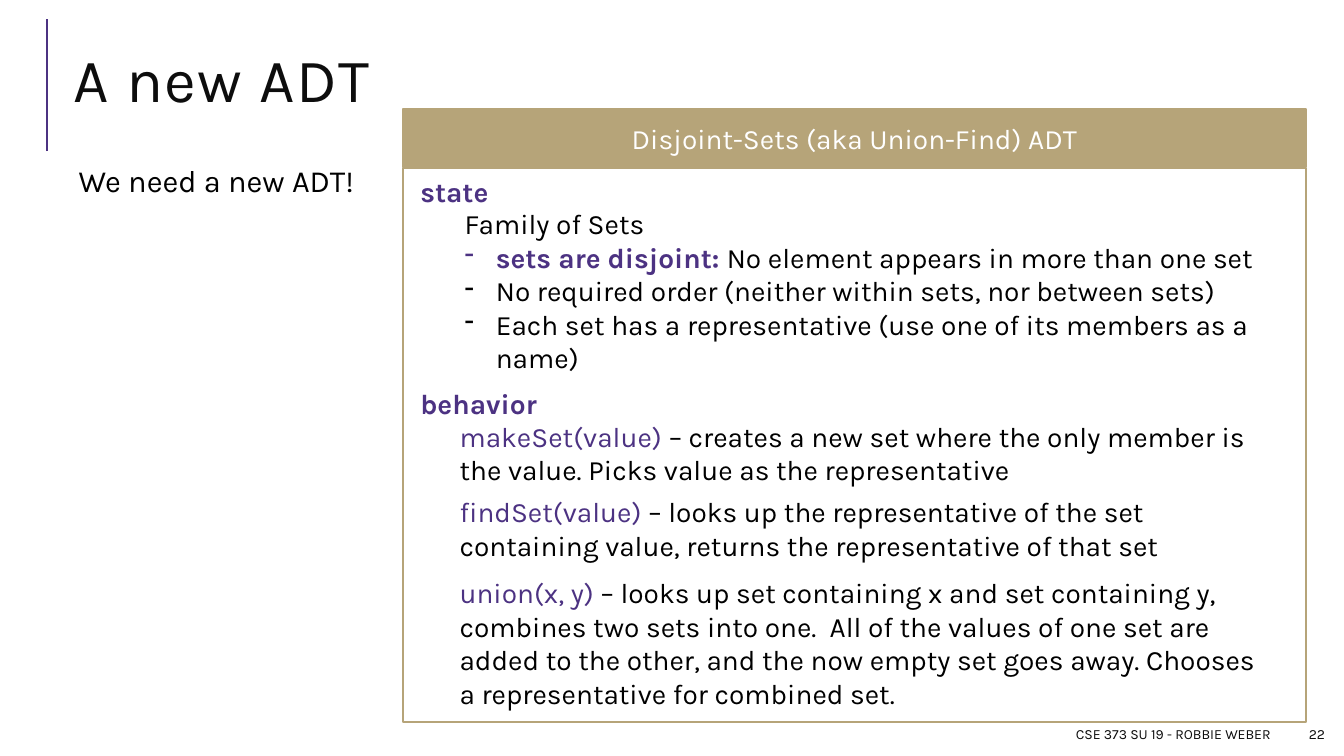
from lxml.etree import SubElement
from pptx import Presentation
from pptx.dml.color import RGBColor
from pptx.enum.shapes import MSO_CONNECTOR, MSO_SHAPE
from pptx.enum.text import MSO_ANCHOR, MSO_AUTO_SIZE, PP_ALIGN
from pptx.oxml.ns import qn
from pptx.util import Inches, Pt

PURPLE = RGBColor(0x4C, 0x32, 0x82)
GOLD = RGBColor(0xB6, 0xA4, 0x79)
INK = RGBColor(0x0D, 0x0D, 0x0D)
BLACK = RGBColor(0, 0, 0)
WHITE = RGBColor(0xFF, 0xFF, 0xFF)


def add_run(p, text, size, color, bold=False):
    r = p.add_run()
    r.text = text
    r.font.name = "Karla"
    r.font.size = Pt(size)
    r.font.bold = bold
    r.font.color.rgb = color
    return r


def add_text(left, top, width, height):
    tf = slide.shapes.add_textbox(
        Inches(left), Inches(top), Inches(width), Inches(height)).text_frame
    tf.word_wrap = True
    return tf


prs = Presentation()
prs.slide_width = Inches(13.33)
prs.slide_height = Inches(7.5)
slide = prs.slides.add_slide(prs.slide_layouts[1])
title, body = slide.placeholders

# Rule beside the title
rule = slide.shapes.add_connector(
    MSO_CONNECTOR.STRAIGHT, Inches(0.47), Inches(1.5), Inches(0.47), Inches(0.19))
rule.line.color.rgb = PURPLE
rule.line.width = Pt(1.5)
SubElement(rule._element.spPr, qn("a:effectLst"))

# Title and lead sentence
for sp, top, height in ((title, 0.29, 1.11), (body, 1.6, 0.51)):
    sp.left, sp.top = Inches(0.63), Inches(top)
    sp.width, sp.height = Inches(12.23), Inches(height)
    sp.text_frame.auto_size = MSO_AUTO_SIZE.NONE
title.text_frame.vertical_anchor = MSO_ANCHOR.MIDDLE
p = title.text_frame.paragraphs[0]
p.alignment = PP_ALIGN.LEFT
p.line_spacing = 0.8
r = add_run(p, "A new ADT", 44, INK)
r.font._element.set("spc", "100")

tf = body.text_frame
tf.margin_left = tf.margin_right = tf.margin_top = tf.margin_bottom = Inches(0.05)
tf.vertical_anchor = MSO_ANCHOR.TOP
p = tf.paragraphs[0]
pPr = p._p.get_or_add_pPr()
pPr.set("marL", str(Inches(0.1)))
pPr.set("indent", "0")
SubElement(pPr, qn("a:buNone"))
p.line_spacing = 0.9
p.space_before = Pt(0)
p.space_after = Pt(2)
add_run(p, "We need a new ADT!", 22, BLACK)

# Footer and slide number
for text, left, width in (("CSE 373 SU 19 - ROBBIE WEBER", 6.25, 6.45),
                          ("22", 12.78, 0.46)):
    tf = add_text(left, 7.13, width, 0.3)
    tf.vertical_anchor = MSO_ANCHOR.MIDDLE
    p = tf.paragraphs[0]
    p.alignment = PP_ALIGN.RIGHT
    add_run(p, text, 10, INK)

# ADT card: frame and header band
for top, height in ((1.67, 5.49), (1.08, 0.58)):
    sp = slide.shapes.add_shape(
        MSO_SHAPE.RECTANGLE, Inches(4), Inches(top), Inches(8.95), Inches(height))
    sp.shadow.inherit = False
    sp.fill.background()
    sp.line.color.rgb = GOLD
    sp.line.width = Pt(1.25)
header = sp
header.fill.solid()
header.fill.fore_color.rgb = GOLD
header.text_frame.vertical_anchor = MSO_ANCHOR.MIDDLE
p = header.text_frame.paragraphs[0]
p.alignment = PP_ALIGN.CENTER
add_run(p, "Disjoint-Sets (aka Union-Find) ADT", 20, WHITE)

# Section headings
for text, top in (("state", 1.68), ("behavior", 3.79)):
    tf = add_text(4.07, top, 7.13, 0.44)
    add_run(tf.paragraphs[0], text, 20, PURPLE, True)

# State: family of sets and its properties
tf = add_text(4.51, 2, 8.14, 2.46)
add_run(tf.paragraphs[0], "Family of Sets", 20, BLACK)
for term, text in (
        ("sets are disjoint: ", "No element appears in more than one set"),
        ("", "No required order (neither within sets, nor between sets)"),
        ("", "Each set has a representative (use one of its members as a name)")):
    p = tf.add_paragraph()
    pPr = p._p.get_or_add_pPr()
    pPr.set("marL", str(Inches(0.31)))
    pPr.set("indent", str(-Inches(0.31)))
    SubElement(pPr, qn("a:buChar")).set("char", "-")
    if term:
        add_run(p, term, 20, PURPLE, True)
    add_run(p, text, 20, BLACK)

# Behavior: one box per operation
for call, text, top, width, height in (
        ("makeSet(value) ",
         "– creates a new set where the only member is the value. "
         "Picks value as the representative", 4.11, 8.03, 1.11),
        ("findSet(value) ",
         "– looks up the representative of the set containing value, "
         "returns the representative of that set", 4.86, 7.83, 1.11),
        ("union(x, y) ",
         "– looks up set containing x and set containing y, combines two sets "
         "into one.  All of the values of one set are added to the other, and "
         "the now empty set goes away. Chooses a representative for combined set.",
         5.66, 8.14, 1.78)):
    p = add_text(4.46, top, width, height).paragraphs[0]
    add_run(p, call, 20, PURPLE)
    add_run(p, text, 20, BLACK)

prs.save("out.pptx")
